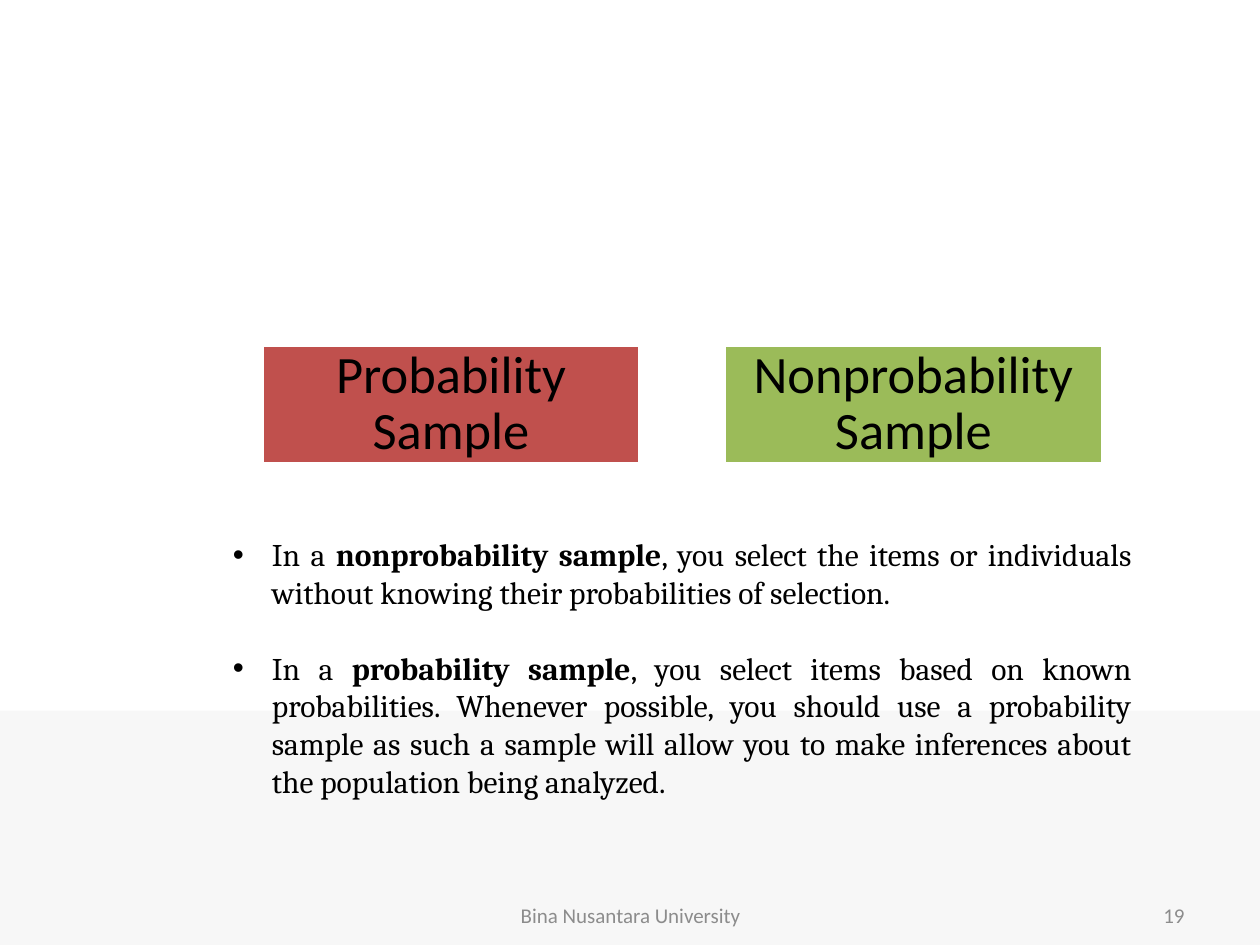
"""Build a slide comparing probability and nonprobability samples."""
from lxml import etree
from pptx import Presentation
from pptx.dml.color import RGBColor
from pptx.enum.shapes import MSO_SHAPE
from pptx.enum.text import MSO_ANCHOR, PP_ALIGN
from pptx.oxml.ns import qn
from pptx.util import Inches, Pt

RECTANGLE = MSO_SHAPE.RECTANGLE
MIDDLE = MSO_ANCHOR.MIDDLE
CENTER, RIGHT, JUSTIFY = PP_ALIGN.CENTER, PP_ALIGN.RIGHT, PP_ALIGN.JUSTIFY


def color(value):
    return RGBColor.from_string(value)


def add_run(paragraph, text, size, font_name, font_color, bold=False):
    run = paragraph.add_run()
    run.text = text
    run.font.size = Pt(size)
    run.font.name = font_name
    run.font.bold = bold
    run.font.color.rgb = color(font_color)


presentation = Presentation()
presentation.slide_width = Inches(10)
presentation.slide_height = Inches(7.5)
slide = presentation.slides.add_slide(presentation.slide_layouts[6])

band = slide.shapes.add_shape(RECTANGLE, Inches(0), Inches(5.64), Inches(10), Inches(1.86))
band.shadow.inherit = False
band.fill.solid()
band.fill.fore_color.rgb = color("F7F7F7")
band.line.fill.background()

footers = [
    (3.42, 3.17, "Bina Nusantara University", CENTER),
    (7.17, 2.33, "19", RIGHT),
]
for left, width, text, alignment in footers:
    footer = slide.shapes.add_textbox(Inches(left), Inches(7.06), Inches(width), Inches(0.4))
    footer.text_frame.word_wrap = True
    footer.text_frame.vertical_anchor = MIDDLE
    paragraph = footer.text_frame.paragraphs[0]
    paragraph.alignment = alignment
    add_run(paragraph, text, 12, "Calibri", "8C8C8C")

samples = [
    (2.08, "Probability Sample", "C0504D"),
    (5.75, "Nonprobability Sample", "9BBB59"),
]
for left, text, fill_color in samples:
    box = slide.shapes.add_shape(RECTANGLE, Inches(left), Inches(2.74), Inches(3), Inches(0.94))
    box.shadow.inherit = False
    box.fill.solid()
    box.fill.fore_color.rgb = color(fill_color)
    box.line.color.rgb = color("FFFFFF")
    box.line.width = Pt(2)
    frame = box.text_frame
    frame.word_wrap = True
    frame.vertical_anchor = MIDDLE
    frame.margin_left = frame.margin_right = Inches(0.12)
    frame.margin_top = frame.margin_bottom = Inches(0.12)
    paragraph = frame.paragraphs[0]
    paragraph.alignment = CENTER
    paragraph.line_spacing = 0.9
    add_run(paragraph, text, 30, "Calibri", "000000")

definitions = [
    (
        "nonprobability sample",
        ", you select the items or individuals without knowing their "
        "probabilities of selection.",
    ),
    (
        "probability sample",
        ", you select items based on known probabilities. Whenever possible, "
        "you should use a probability sample as such a sample will allow you "
        "to make inferences about the population being analyzed.",
    ),
]
body = slide.shapes.add_textbox(Inches(1.75), Inches(4.2), Inches(7.33), Inches(2.22))
frame = body.text_frame
frame.word_wrap = True
for index, (term, explanation) in enumerate(definitions):
    paragraph = frame.add_paragraph() if index else frame.paragraphs[0]
    paragraph.alignment = JUSTIFY
    if index:
        paragraph.space_before = Pt(21.5)
    properties = paragraph._p.get_or_add_pPr()
    properties.set("marL", str(Inches(0.31)))
    properties.set("indent", str(Inches(-0.31)))
    etree.SubElement(properties, qn("a:buFont")).set("typeface", "Arial")
    etree.SubElement(properties, qn("a:buChar")).set("char", "•")
    for text, bold in [("In a ", False), (term, True), (explanation, False)]:
        add_run(paragraph, text, 18, "Cambria", "000000", bold)

presentation.save("out.pptx")
